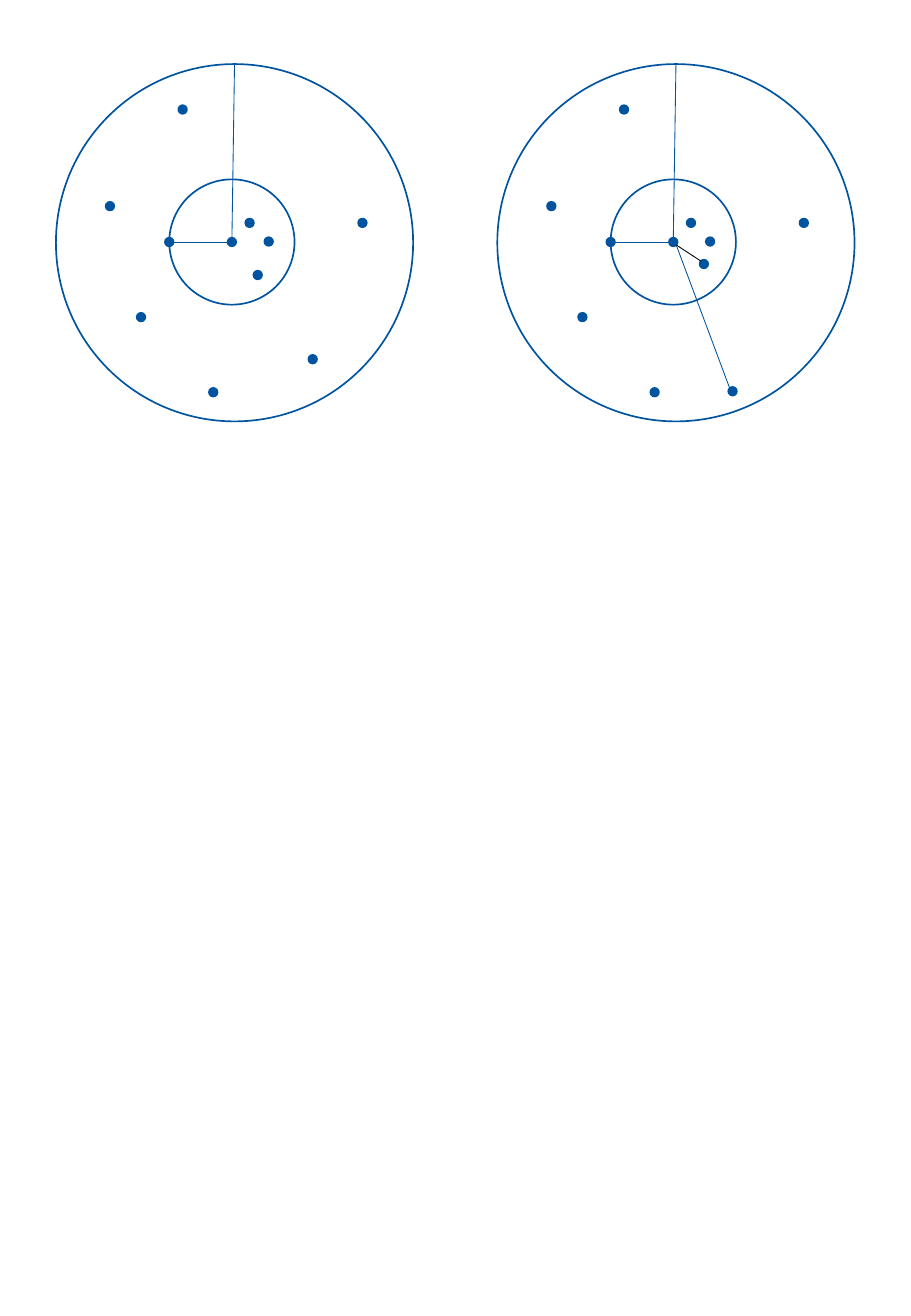
from lxml.etree import SubElement
from pptx import Presentation
from pptx.dml.color import RGBColor
from pptx.enum.shapes import MSO_CONNECTOR, MSO_SHAPE
from pptx.oxml.ns import qn
from pptx.util import Cm, Pt

COLORS = {"blue": "00549F", "black": "000000"}

# Lengths in cm, measured from the top left corner of a diagram
OUTER_SIZE = 7.47
INNER_RADIUS = 1.31
DOT_RADIUS = 0.09
DIAGONAL = 0.06  # horizontal and vertical reach of a dot's edge at 45 degrees
HUB = (3.68, 3.72)
RIM = (HUB[0] - INNER_RADIUS, HUB[1])
SHARED_POINTS = [
    (2.65, 0.95), (6.41, 3.32), (3.29, 6.86), (1.78, 5.29),
    (1.13, 2.97), (4.05, 3.32), (4.45, 3.71),
]
LEFT_POINTS = [(5.37, 6.17), (4.22, 4.41)]
FAR_POINT, NEAR_POINT = (4.92, 6.84), (4.32, 4.18)


def add_circle(slide, x, y, radius, filled=False):
    circle = slide.shapes.add_shape(
        MSO_SHAPE.OVAL, Cm(x - radius), Cm(y - radius), Cm(2 * radius), Cm(2 * radius))
    circle.shadow.inherit = False
    if filled:
        circle.fill.solid()
        circle.fill.fore_color.rgb = RGBColor.from_string(COLORS["blue"])
    else:
        circle.fill.background()
    circle.line.color.rgb = RGBColor.from_string(COLORS["blue"])
    circle.line.width = Pt(1)
    return circle


def add_line(slide, x1, y1, x2, y2, color="blue"):
    line = slide.shapes.add_connector(
        MSO_CONNECTOR.STRAIGHT, Cm(x1), Cm(y1), Cm(x2), Cm(y2))
    line.line.color.rgb = RGBColor.from_string(COLORS[color])
    line.line.width = Pt(0.5)
    SubElement(line._element.spPr, qn("a:effectLst"))
    return line


def add_diagram(slide, left, top, points, spokes=()):
    """Draw two nested circles with dots; spokes are (point, color) pairs."""
    hub_x, hub_y = left + HUB[0], top + HUB[1]
    rim_x = left + RIM[0]
    outer_radius = OUTER_SIZE / 2

    outer = add_circle(slide, left + outer_radius, top + outer_radius, outer_radius)
    add_circle(slide, hub_x, hub_y, INNER_RADIUS)
    hub = add_circle(slide, hub_x, hub_y, DOT_RADIUS, filled=True)
    for x, y in [RIM, *points]:
        add_circle(slide, left + x, top + y, DOT_RADIUS, filled=True)

    outer_spoke = add_line(slide, hub_x, hub_y, hub_x, top)
    outer_spoke.begin_connect(hub, 0)
    outer_spoke.end_connect(outer, 0)
    add_line(slide, rim_x + DOT_RADIUS, hub_y, hub_x - DOT_RADIUS, hub_y)
    for (x, y), color in spokes:
        add_line(slide, left + x - DIAGONAL, top + y - DIAGONAL,
                 hub_x + DIAGONAL, hub_y + DIAGONAL, color)


def main():
    presentation = Presentation()
    presentation.slide_width = Cm(19.05)
    presentation.slide_height = Cm(27.51)
    slide = presentation.slides.add_slide(presentation.slide_layouts[6])
    add_diagram(slide, 1.17, 1.34, SHARED_POINTS + LEFT_POINTS)
    add_diagram(slide, 10.4, 1.34, SHARED_POINTS + [FAR_POINT, NEAR_POINT],
                spokes=[(FAR_POINT, "blue"), (NEAR_POINT, "black")])
    presentation.save("out.pptx")


if __name__ == "__main__":
    main()
